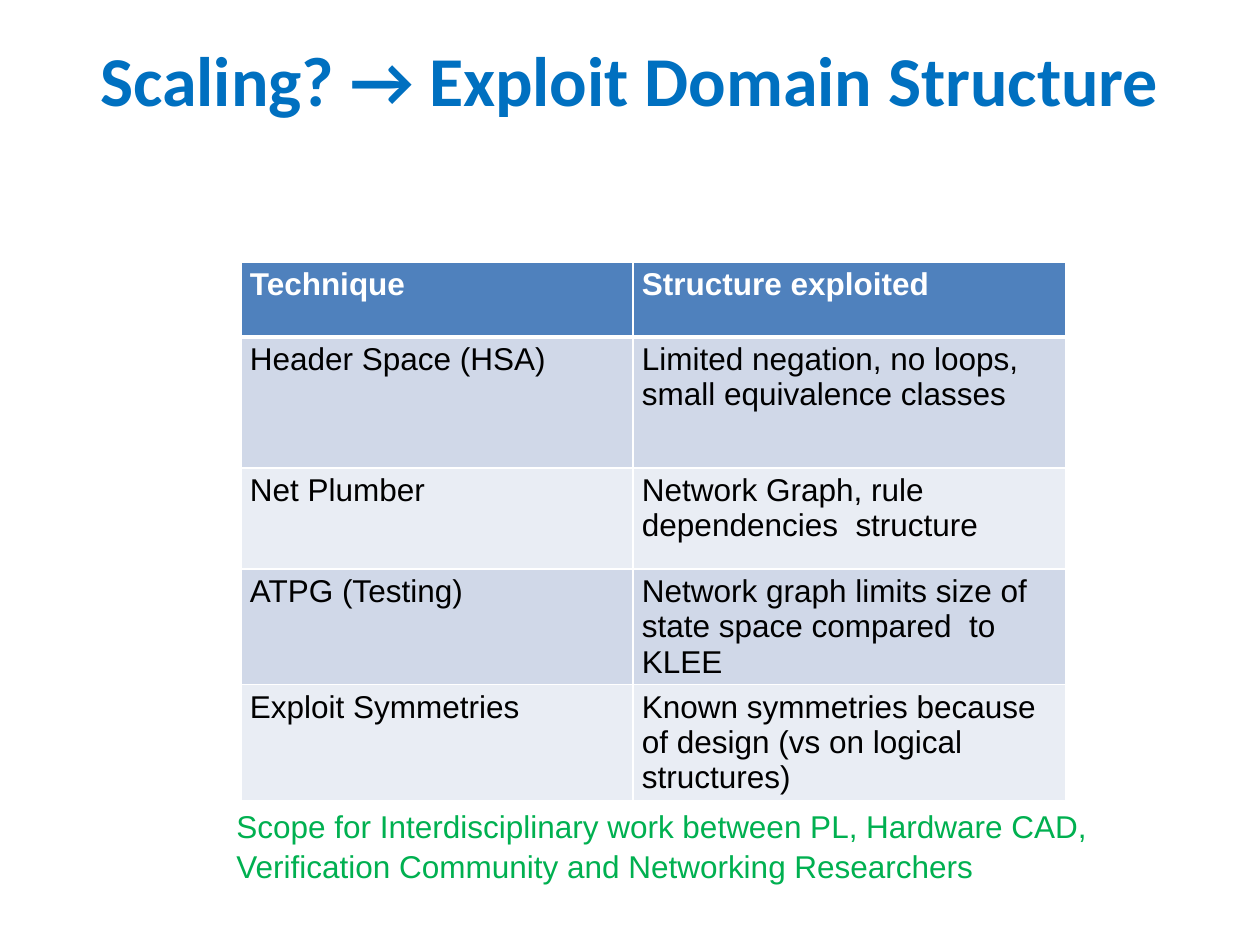
from typing import NamedTuple

from lxml import etree
from pptx import Presentation
from pptx import util as u
from pptx.dml.color import RGBColor
from pptx.enum import text
from pptx.oxml.ns import qn

PX_PER_INCH = 126

BLUE = RGBColor(0x00, 0x70, 0xC0)
GREEN = RGBColor(0x00, 0xB0, 0x50)
WHITE = RGBColor(0xFF, 0xFF, 0xFF)
BLACK = RGBColor(0x00, 0x00, 0x00)
HEADER_FILL = RGBColor(0x4F, 0x81, 0xBD)
BAND_FILLS = (RGBColor(0xD0, 0xD8, 0xE8), RGBColor(0xE9, 0xED, 0xF4))


class Box(NamedTuple):
    left: int
    top: int
    width: int
    height: int


class Row(NamedTuple):
    technique: str
    structure: str
    height: int


TITLE_BOX = Box(0, 28, 1259, 101)
TABLE_BOX = Box(241, 262, 825, 508)
SCOPE_BOX = Box(224, 799, 1036, 89)
COLUMN_WIDTHS = (392, 433)
ROWS = (
    Row("Technique", "Structure exploited", 75),
    Row("Header Space (HSA)",
        "Limited negation, no loops, small equivalence classes", 131),
    Row("Net Plumber", "Network Graph, rule dependencies  structure", 101),
    Row("ATPG (Testing)",
        "Network graph limits size of state space compared  to KLEE", 101),
    Row("Exploit Symmetries",
        "Known symmetries because of design (vs on logical structures)", 101),
)


def px(length: int) -> u.Emu:
    return u.Emu(round(length * 914400 / PX_PER_INCH))


def style(para, name: str, size: int, color: RGBColor, bold: bool = False) -> None:
    para.font.name = name
    para.font.size = u.Pt(size)
    para.font.color.rgb = color
    para.font.bold = bold


def set_borders(cell, bottom: int) -> None:
    """Draw white borders, 1 pt except for the bottom one; call before filling."""
    props = cell._tc.get_or_add_tcPr()
    for side, points in (("L", 1), ("R", 1), ("T", 1), ("B", bottom)):
        line = etree.SubElement(props, qn(f"a:ln{side}"), w=str(u.Pt(points)))
        fill = etree.SubElement(line, qn("a:solidFill"))
        etree.SubElement(fill, qn("a:srgbClr"), val=str(WHITE))


def add_title(page) -> None:
    title = page.shapes.title
    title.left, title.top, title.width, title.height = map(px, TITLE_BOX)
    frame = title.text_frame
    frame.text = "Scaling? → Exploit Domain Structure"
    frame.auto_size = text.MSO_AUTO_SIZE.NONE
    frame.vertical_anchor = text.MSO_ANCHOR.MIDDLE
    para = frame.paragraphs[0]
    para.alignment = text.PP_ALIGN.CENTER
    style(para, "Calibri", 40, BLUE, bold=True)


def add_technique_table(page) -> None:
    table = page.shapes.add_table(
        len(ROWS), len(COLUMN_WIDTHS), *map(px, TABLE_BOX)).table
    table.horz_banding = False
    for column, width in zip(table.columns, COLUMN_WIDTHS):
        column.width = px(width)
    for index, row in enumerate(ROWS):
        header = index == 0
        table.rows[index].height = px(row.height)
        for cell, words in zip(table.rows[index].cells, row[:2]):
            cell.text = words
            cell.margin_left = cell.margin_right = px(9)
            cell.margin_top = cell.margin_bottom = px(5)
            set_borders(cell, bottom=3 if header else 1)
            cell.fill.solid()
            cell.fill.fore_color.rgb = (
                HEADER_FILL if header else BAND_FILLS[(index - 1) % 2])
            style(cell.text_frame.paragraphs[0], "Arial", 18,
                  WHITE if header else BLACK, bold=header)


def add_scope_note(page) -> None:
    frame = page.shapes.add_textbox(*map(px, SCOPE_BOX)).text_frame
    frame.word_wrap = True
    frame.auto_size = text.MSO_AUTO_SIZE.SHAPE_TO_FIT_TEXT
    para = frame.paragraphs[0]
    para.text = ("Scope for Interdisciplinary work between PL, Hardware CAD, "
                 "Verification Community and Networking Researchers")
    para.line_spacing = 1.06
    style(para, "Arial", 18, GREEN)


def main() -> None:
    deck = Presentation()
    deck.slide_width, deck.slide_height = u.Inches(10), u.Inches(7.5)
    page = deck.slides.add_slide(deck.slide_layouts.get_by_name("Title Only"))
    add_title(page)
    add_technique_table(page)
    add_scope_note(page)
    deck.save("out.pptx")


if __name__ == "__main__":
    main()
